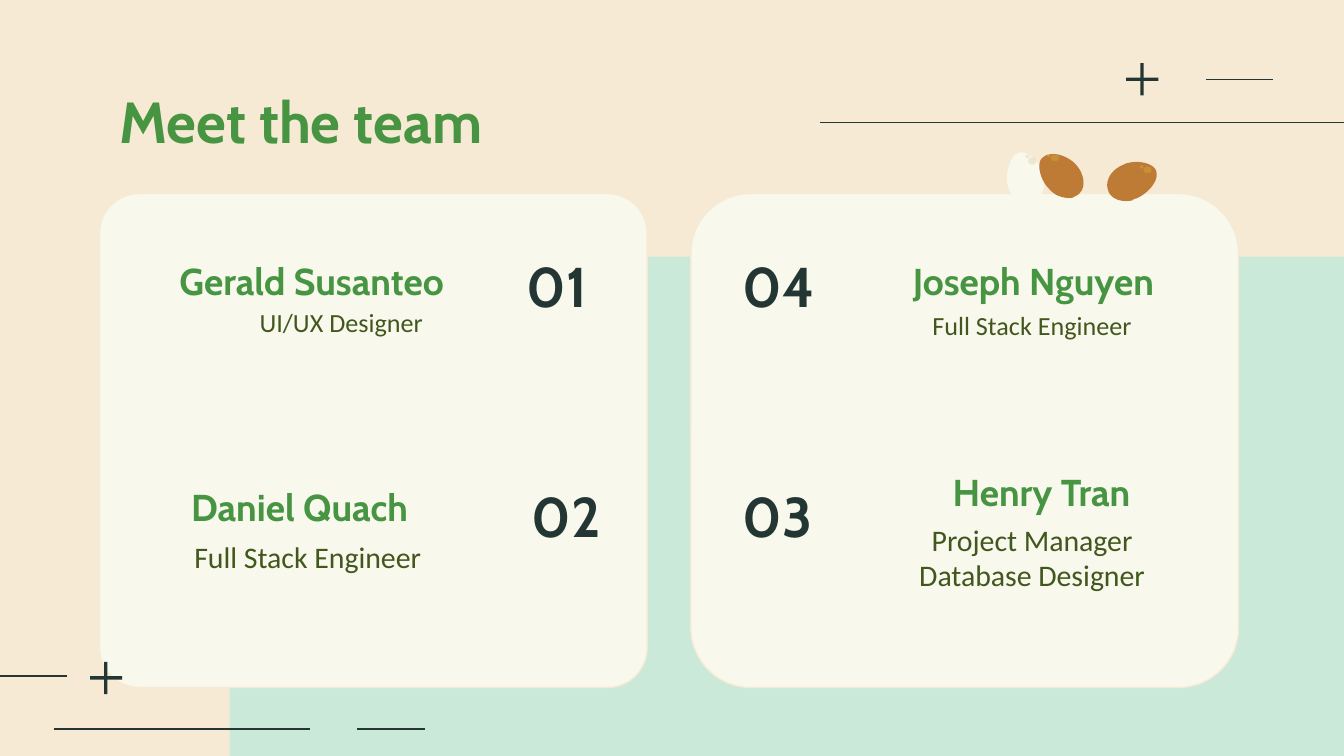
from lxml.etree import SubElement
from pptx import Presentation
from pptx.dml.color import RGBColor
from pptx.enum.shapes import MSO_CONNECTOR as Link, MSO_SHAPE as Form
from pptx.enum.text import MSO_ANCHOR as Anchor, PP_ALIGN as Align
from pptx.oxml.ns import qn
from pptx.util import Inches, Pt

deck = Presentation()
deck.slide_width = Inches(10)
deck.slide_height = deck.slide_width * 9 // 16
slide = deck.slides.add_slide(deck.slide_layouts[6])
shapes = slide.shapes
cell = deck.slide_width / 100
sand, cream, mint = "F6EAD4", "F8F8EC", "CAE9D9"
green, moss, dark = "479442", "41571E", "233634"
brown, gold = "BD7B36", "FAEA3F"
tilt = 353.2


def paint(fill, color, alpha=None):
    fill.solid()
    fill.fore_color.rgb = RGBColor.from_string(color)
    if alpha:
        tint = fill._xPr.find(".//" + qn("a:srgbClr"))
        SubElement(tint, qn("a:alpha")).set("val", str(alpha * 1000))


def draw(form, box, color, alpha=None):
    shape = shapes.add_shape(form, *[round(n * cell) for n in box])
    shape.shadow.inherit = False
    paint(shape.fill, color, alpha)
    shape.line.fill.background()
    return shape


paint(slide.background.fill, sand)
field = draw(Form.ROUND_1_RECTANGLE, (17.1, 19.1, 82.9, 37.15), mint)
field.adjustments[0] = 0.307
field._element.spPr.xfrm.set("flipH", "1")

for left, curve in ((7.4, 0.08), (51.4, 0.121)):
    card = draw(Form.ROUNDED_RECTANGLE, (left, 14.4, 40.75, 36.75), cream)
    card.adjustments[0] = curve
    paint(card.line.fill, sand)
    card.line.width = Pt(0.75)

for x, y in ((83.8, 4.7), (6.7, 49.25)):
    draw(Form.RECTANGLE, (x, y + 1.07, 2.4, 0.25), dark)
    draw(Form.RECTANGLE, (x + 1.05, y, 0.25, 2.4), dark)

for left, right, y in (
    (89.7, 94.7, 5.9),
    (26.6, 31.6, 54.25),
    (0, 5, 50.3),
    (61, 100, 9.1),
    (4, 23.1, 54.25),
):
    ends = [round(n * cell) for n in (left, y, right, y)]
    rule = shapes.add_connector(Link.STRAIGHT, *ends)
    paint(rule.line.fill, dark)
    rule.line.width = Pt(0.75)
    SubElement(rule._element.spPr, qn("a:effectLst"))

eggs = (
    (cream, brown, 14,
     ((76.1, 11.3), (75.4, 11.4), (74.9, 12.5), (74.9, 13.5),
      (75, 14.4), (75.6, 15.2), (76.4, 15.1),
      (77.2, 15.1), (77.7, 14.3), (77.7, 13.3),
      (77.6, 12.4), (76.9, 11.3), (76.1, 11.3)),
     ((76.5, 11.7, 0.6, 0.55), (76.3, 11.5, 0.3, 0.25))),
    (brown, gold, 18,
     ((78.2, 11.4), (78, 11.4), (77.9, 11.5), (77.7, 11.6),
      (77.2, 12), (77.4, 13.3), (78, 14),
      (78.4, 14.6), (79.1, 14.8), (79.6, 14.8),
      (79.8, 14.7), (80, 14.7), (80.2, 14.5),
      (80.7, 14.1), (80.7, 13.1), (80.1, 12.3),
      (79.6, 11.7), (78.8, 11.3), (78.2, 11.4)),
     ((78.2, 11.5, 0.6, 0.5), (77.9, 11.5, 0.3, 0.2))),
    (brown, gold, 18,
     ((84.1, 12.1), (83.9, 12.1), (83.8, 12.2), (83.7, 12.2),
      (82.7, 12.5), (82.2, 13.3), (82.4, 14),
      (82.5, 14.6), (83.3, 15), (84.1, 14.9),
      (84.2, 14.8), (84.3, 14.8), (84.4, 14.8),
      (85.4, 14.5), (86.3, 13.6), (86.1, 12.9),
      (85.9, 12.3), (84.9, 12), (84.1, 12.1)),
     ((85.1, 12.4, 0.6, 0.5), (84.8, 12.3, 0.3, 0.25))),
)
steps = 10
for color, shine, alpha, knots, spots in eggs:
    dots = []
    for i in range(0, len(knots) - 1, 3):
        for t in (n / steps for n in range(1, steps + 1)):
            u = 1 - t
            parts = (u**3, 3 * u * u * t, 3 * u * t * t, t**3)
            curve = knots[i:i + 4]
            dots.append([cell * sum(w * k[a] for w, k in zip(parts, curve)) for a in (0, 1)])
    pen = shapes.build_freeform(*dots[-1])
    pen.add_line_segments(dots)
    egg = pen.convert_to_shape()
    egg.shadow.inherit = False
    egg.rotation = tilt
    paint(egg.fill, color)
    egg.line.fill.background()
    for spot in spots:
        draw(Form.OVAL, spot, shine, alpha).rotation = tilt

mid, left, right = Align.CENTER, Align.LEFT, Align.RIGHT
title = ("Cabin", 31, green, True)
name = ("Cabin", 20, green, True)
count = ("Cabin", 30, dark, True)
small = ("Calibri", 14, moss, False)
large = ("Calibri", 16, moss, False)
for text, box, side, style in (
    ("Meet the team", (7.9, 5.85, 84.3, 6.2), left, title),
    ("Gerald Susanteo", (10.4, 18, 25.6, 5.8), mid, name),
    ("UI/UX Designer", (7.9, 22.8, 35, 2.4), mid, small),
    ("01", (38.2, 18, 6.7, 6.5), left, count),
    ("Daniel Quach", (9.5, 34.8, 25.6, 5.8), mid, name),
    ("Full Stack Engineer", (5.4, 40.2, 35, 2.4), mid, large),
    ("02", (37.3, 35.1, 8.4, 6.5), right, count),
    ("Henry Tran", (64.7, 33.7, 25.6, 5.8), mid, name),
    ("Project Manager\nDatabase Designer", (59.3, 39.2, 35, 4.5), mid, large),
    ("03", (54.3, 35.1, 8.4, 6.5), left, count),
    ("Joseph Nguyen", (64.1, 18, 25.6, 5.8), mid, name),
    ("Full Stack Engineer", (59.3, 23, 35, 2.4), mid, small),
    ("04", (54.3, 18, 8.4, 6.5), left, count),
):
    frame = shapes.add_textbox(*[round(n * cell) for n in box]).text_frame
    frame.word_wrap = True
    frame.vertical_anchor = Anchor.MIDDLE
    frame.margin_left = frame.margin_right = round(cell)
    frame.margin_top = frame.margin_bottom = round(cell)
    frame.text = text
    for line in frame.paragraphs:
        line.alignment = side
        font = line.font
        font.name, size, color, font.bold = style
        font.size = Pt(size)
        paint(font.fill, color)

deck.save("out.pptx")
